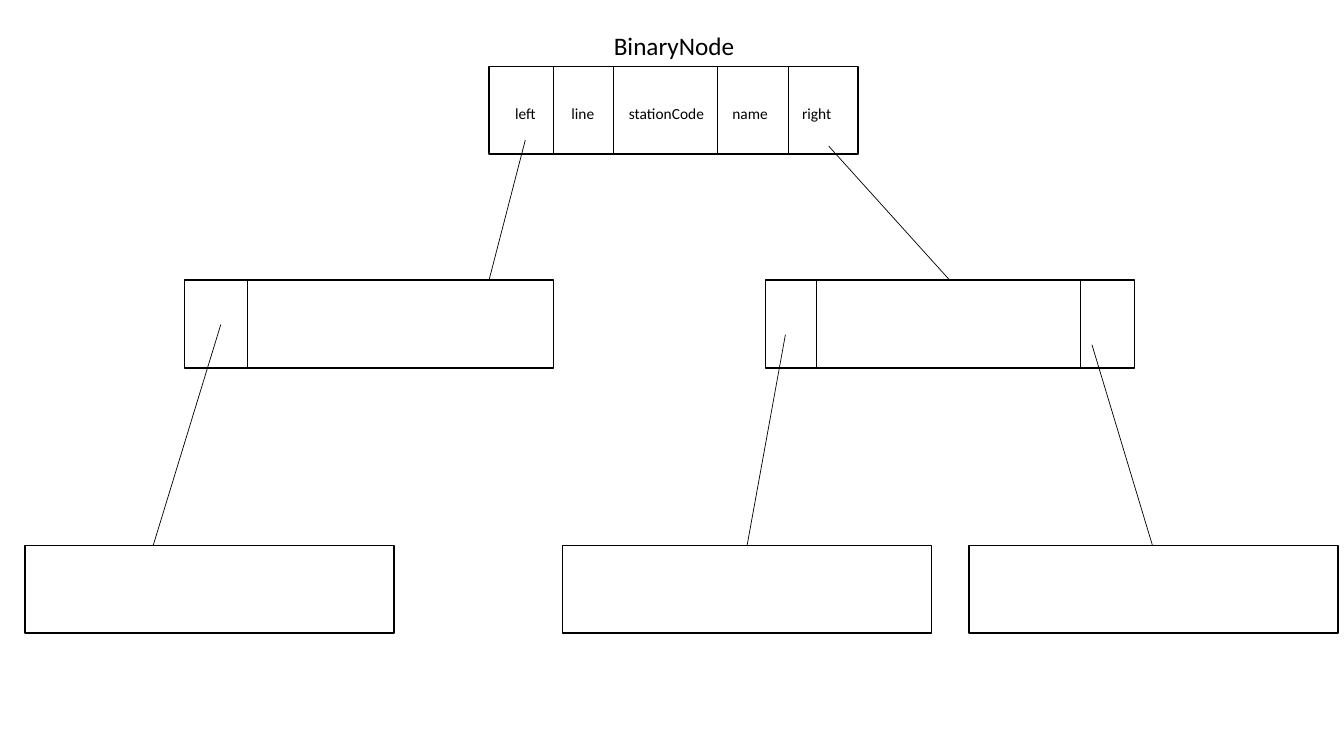
"""Build a slide showing a binary tree of BinaryNode records."""
from typing import NamedTuple

from lxml import etree
from pptx import Presentation
from pptx.dml.color import RGBColor
from pptx.enum import shapes, text
from pptx.oxml import ns
from pptx.util import Inches, Pt

BLACK = RGBColor(0x00, 0x00, 0x00)
FONT = "Calibri"
NODE_WIDTH, NODE_HEIGHT = 3.66, 0.87
ROOT_TOP, CHILD_TOP, LEAF_TOP = 0.66, 2.78, 5.41
FIELD_TOP, FIELD_WIDTH, FIELD_HEIGHT = 0.98, 1.38, 0.29


class Node(NamedTuple):
    """A record box with the x positions of its cell dividers."""
    left: float
    top: float
    dividers: tuple[float, ...] = ()


class Field(NamedTuple):
    """A field name and the left edge of its label."""
    name: str
    left: float


class Link(NamedTuple):
    """A reference running from a cell down to the top of a child node."""
    from_x: float
    from_y: float
    to_x: float
    to_y: float


NODES = (
    Node(4.85, ROOT_TOP, (5.49, 6.08, 7.12, 7.82)),
    Node(1.83, CHILD_TOP, (2.45,)),
    Node(7.59, CHILD_TOP, (8.1, 10.72)),
    Node(0.25, LEAF_TOP),
    Node(5.58, LEAF_TOP),
    Node(9.61, LEAF_TOP),
)
FIELDS = (
    Field("left", 4.52),
    Field("line", 5.09),
    Field("stationCode", 5.92),
    Field("name", 6.75),
    Field("right", 7.41),
)
LINKS = (
    Link(5.21, 1.39, 4.85, CHILD_TOP),
    Link(8.22, 1.45, 9.42, CHILD_TOP),
    Link(2.19, 3.22, 1.52, LEAF_TOP),
    Link(7.79, 3.32, 7.41, LEAF_TOP),
    Link(10.83, 3.42, 11.43, LEAF_TOP),
)


def write(frame, words: str, size: float) -> None:
    """Put one centred run into a text frame."""
    frame.word_wrap = True
    paragraph = frame.paragraphs[0]
    paragraph.alignment = text.PP_ALIGN.CENTER
    run = paragraph.add_run()
    run.text = words
    run.font.name = FONT
    run.font.size = Pt(size)
    run.font.color.rgb = BLACK


def draw_line(slide, link: Link) -> None:
    """Draw a thin straight line without a shadow."""
    line = slide.shapes.add_connector(
        shapes.MSO_CONNECTOR.STRAIGHT, *(Inches(value) for value in link))
    line.line.color.rgb = BLACK
    line.line.width = Pt(0.5)
    etree.SubElement(line._element.spPr, ns.qn("a:effectLst"))


def draw_node(slide, node: Node) -> None:
    """Draw a record box and its cell dividers."""
    record = slide.shapes.add_shape(
        shapes.MSO_SHAPE.RECTANGLE, Inches(node.left), Inches(node.top),
        Inches(NODE_WIDTH), Inches(NODE_HEIGHT))
    record.shadow.inherit = False
    record.fill.background()
    record.line.color.rgb = BLACK
    record.line.width = Pt(1)
    for x in node.dividers:
        draw_line(slide, Link(x, node.top, x, node.top + NODE_HEIGHT))


def draw_field(slide, field: Field) -> None:
    """Label one cell of the root record."""
    label = slide.shapes.add_textbox(
        Inches(field.left), Inches(FIELD_TOP),
        Inches(FIELD_WIDTH), Inches(FIELD_HEIGHT))
    write(label.text_frame, field.name, 11)
    label.text_frame.auto_size = text.MSO_AUTO_SIZE.SHAPE_TO_FIT_TEXT


def draw_heading(slide) -> None:
    """Place the record type's name above the root."""
    heading = slide.shapes.title
    heading.left, heading.top = Inches(5.89), Inches(0.25)
    heading.width, heading.height = Inches(1.59), Inches(0.4)
    write(heading.text_frame, "BinaryNode", 18)
    heading.text_frame.auto_size = text.MSO_AUTO_SIZE.NONE
    heading.text_frame.vertical_anchor = text.MSO_ANCHOR.TOP


def main() -> None:
    """Assemble and save the slide."""
    deck = Presentation()
    deck.slide_width, deck.slide_height = Inches(13.33), Inches(7.5)
    tree = deck.slides.add_slide(deck.slide_layouts.get_by_name("Title Only"))
    draw_heading(tree)
    for node in NODES:
        draw_node(tree, node)
    for field in FIELDS:
        draw_field(tree, field)
    for link in LINKS:
        draw_line(tree, link)
    deck.save("out.pptx")


main()
